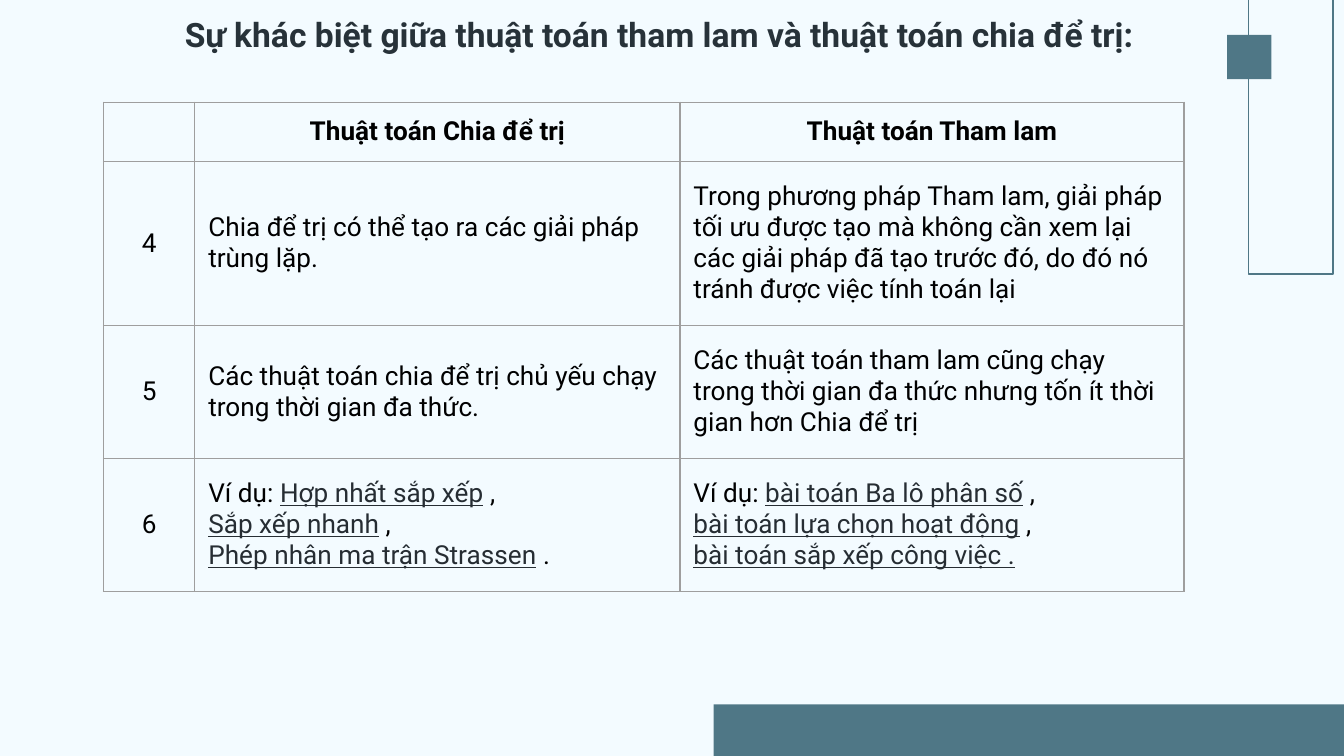
from lxml import etree
from pptx import Presentation
from pptx import util as u
from pptx.dml.color import RGBColor
from pptx.enum import shapes, text
from pptx.oxml import ns

PALE = RGBColor(0xF3, 0xFB, 0xFF)
TEAL = RGBColor(0x4F, 0x77, 0x86)
INK = RGBColor(0x27, 0x32, 0x39)
LINK = RGBColor(0x26, 0x2D, 0x33)
BLACK = RGBColor(0, 0, 0)
GREY = RGBColor(0x9E, 0x9E, 0x9E)
FONT = "Roboto"
WIDE = u.Inches(10)
HIGH = WIDE * 9 // 16

TITLE = "Sự khác biệt giữa thuật toán tham lam và thuật toán chia để trị:"
COLS = (0.68, 3.61, 3.75)
ROWS = (0.44, 1.21, 0.97, 0.97)
CELLS = (
    ("", "Thuật toán Chia để trị", "Thuật toán Tham lam"),
    ("4", "Chia để trị có thể tạo ra các giải pháp trùng lặp.",
     "Trong phương pháp Tham lam, giải pháp tối ưu được tạo mà không cần xem lại "
     "các giải pháp đã tạo trước đó, do đó nó tránh được việc tính toán lại"),
    ("5", "Các thuật toán chia để trị chủ yếu chạy trong thời gian đa thức.",
     "Các thuật toán tham lam cũng chạy trong thời gian đa thức nhưng tốn ít thời "
     "gian hơn Chia để trị"),
    ("6", "Ví dụ: |Hợp nhất sắp xếp| , \n|Sắp xếp nhanh| , \n|Phép nhân ma trận Strassen| .",
     "Ví dụ: |bài toán Ba lô phân số| , \n|bài toán lựa chọn hoạt động| , \n"
     "|bài toán sắp xếp công việc .|"),
)


def style(run, size, color, bold=False, under=False):
    font = run.font
    font.name, font.size, font.bold = FONT, u.Pt(size), bold
    font.underline = under
    font.color.rgb = color


def add_rect(slide, box, solid=True):
    rect = slide.shapes.add_shape(shapes.MSO_SHAPE.RECTANGLE, *map(u.Inches, box))
    rect.shadow.inherit = False
    if solid:
        rect.fill.solid()
        rect.fill.fore_color.rgb = TEAL
        rect.line.fill.background()
    else:
        rect.fill.background()
        rect.line.color.rgb = TEAL
        rect.line.width = u.Pt(0.75)


def add_decor(slide):
    add_rect(slide, (5.31, 5.24, 4.87, 0.45))
    add_rect(slide, (9.13, 0.26, 0.33, 0.33))
    add_rect(slide, (9.29, -0.17, 0.63, 2.21), solid=False)


def set_title(slide, box):
    title = slide.shapes.title
    title.left, title.top, title.width, title.height = map(u.Inches, box)
    frame = title.text_frame
    frame.text = TITLE
    frame.word_wrap = True
    frame.auto_size = text.MSO_AUTO_SIZE.NONE
    frame.vertical_anchor = text.MSO_ANCHOR.TOP
    frame.margin_left = frame.margin_right = u.Inches(0.1)
    frame.margin_top = frame.margin_bottom = u.Inches(0.1)
    para = frame.paragraphs[0]
    para.alignment = text.PP_ALIGN.CENTER
    style(para.runs[0], 18, INK, bold=True)


def add_edges(cell):
    props = cell._tc.get_or_add_tcPr()
    for side in ("lnL", "lnR", "lnT", "lnB"):
        line = etree.SubElement(props, ns.qn("a:" + side), w=str(u.Pt(0.75)))
        fill = etree.SubElement(line, ns.qn("a:solidFill"))
        etree.SubElement(fill, ns.qn("a:srgbClr"), val=str(GREY))


def fill_cell(cell, words, head, center):
    add_edges(cell)
    cell.fill.background()
    if not words:
        return
    cell.vertical_anchor = text.MSO_ANCHOR.MIDDLE
    cell.margin_left = cell.margin_right = u.Inches(0.1)
    cell.margin_top = cell.margin_bottom = u.Inches(0.1 if head else 0.15)
    para = cell.text_frame.paragraphs[0]
    para.alignment = text.PP_ALIGN.CENTER if center else text.PP_ALIGN.LEFT
    for row, line in enumerate(words.split("\n")):
        if row:
            para.add_line_break()
        for part, piece in enumerate(line.split("|")):
            if piece:
                link = part % 2 == 1
                run = para.add_run()
                run.text = piece
                style(run, 14, LINK if link else BLACK, head, link)


def add_grid(slide, left, top):
    box = map(u.Inches, (left, top, sum(COLS), sum(ROWS)))
    table = slide.shapes.add_table(len(ROWS), len(COLS), *box).table
    table.first_row = table.horz_banding = False
    for col, width in zip(table.columns, COLS):
        col.width = u.Inches(width)
    for row, high in zip(table.rows, ROWS):
        row.height = u.Inches(high)
    for r, line in enumerate(CELLS):
        for c, words in enumerate(line):
            fill_cell(table.cell(r, c), words, r == 0, r == 0 or c == 0)


def main():
    deck = Presentation()
    deck.slide_width, deck.slide_height = WIDE, HIGH
    slide = deck.slides.add_slide(deck.slide_layouts[5])
    slide.background.fill.solid()
    slide.background.fill.fore_color.rgb = PALE
    add_decor(slide)
    set_title(slide, (0.69, 0, 8.43, 0.63))
    add_grid(slide, 0.77, 0.76)
    deck.save("out.pptx")


if __name__ == "__main__":
    main()
